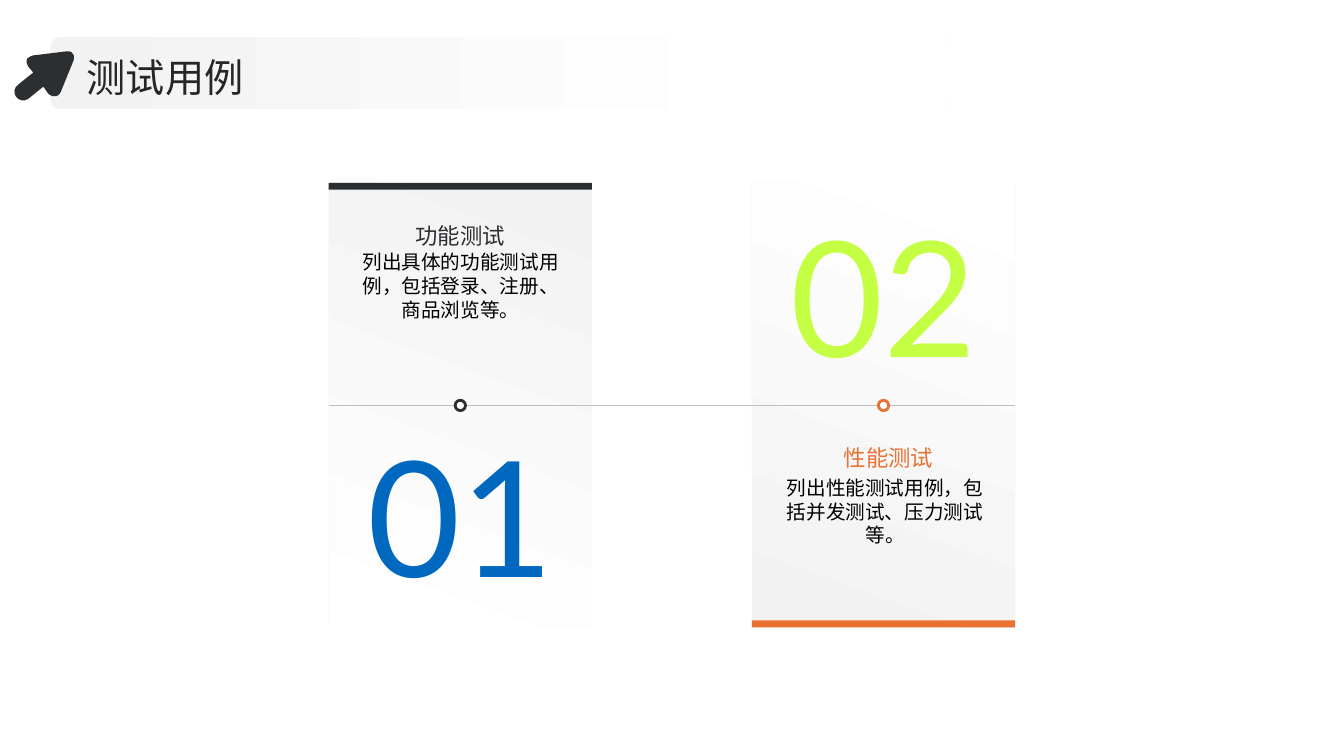
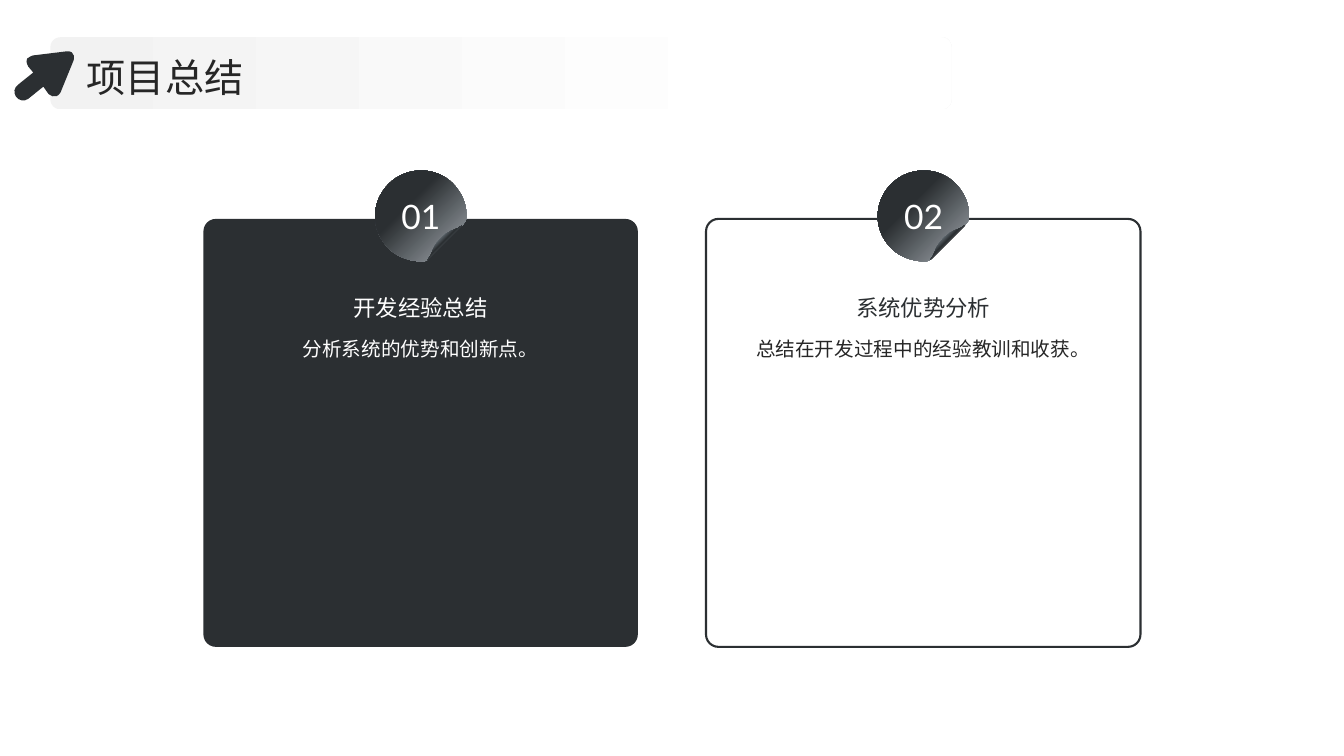
from dataclasses import dataclass
from typing import NamedTuple, Optional, Union

import pptx
import pptx.dml.color
import pptx.enum.shapes
import pptx.enum.text
import pptx.oxml
import pptx.oxml.ns
import pptx.util

Pt = pptx.util.Pt
RGBColor = pptx.dml.color.RGBColor
Shape = pptx.enum.shapes.MSO_SHAPE
Anchor = pptx.enum.text.MSO_ANCHOR
Align = pptx.enum.text.PP_ALIGN
qn = pptx.oxml.ns.qn
DRAWING = pptx.oxml.ns.nsdecls("a")

CHARCOAL = RGBColor(0x2B, 0x2F, 0x32)
INK = RGBColor(0x26, 0x26, 0x26)
BLACK = RGBColor(0x00, 0x00, 0x00)
WHITE = RGBColor(0xFF, 0xFF, 0xFF)
PALE = RGBColor(0xF2, 0xF2, 0xF2)
RULE_GREY = RGBColor(0xBF, 0xBF, 0xBF)
SILVER = RGBColor(0xA5, 0xAC, 0xB2)
STEEL = RGBColor(0x78, 0x83, 0x8B)
ORANGE = RGBColor(0xE9, 0x71, 0x32)
BLUE = RGBColor(0x00, 0x68, 0xBF)
LIME = RGBColor(0xC5, 0xFF, 0x44)

CHINESE_FONT = "Noto Sans CJK SC"
NUMBER_FONT = "Lato"


class Box(NamedTuple):
    """A rectangle in points."""
    left: float
    top: float
    width: float
    height: float

    def lengths(self) -> list:
        return [Pt(value) for value in self]


class Gradient(NamedTuple):
    """Stops of (percent, colour); no angle means radial from the top left."""
    stops: tuple
    angle: Optional[int] = None


class Outline(NamedTuple):
    """A start point, then segments of one point (line) or three (curve)."""
    bounds: Box
    start: tuple
    segments: tuple


Fill = Union[RGBColor, Gradient, None]

PANEL_FILL = Gradient(((0, PALE), (100, WHITE)), 110)
BAND_FILL = Gradient(((0, PALE), (80, WHITE)), 0)
STICKER_FILL = Gradient(((36, CHARCOAL), (100, SILVER)))
FOLD_FILL = Gradient(((32, STEEL), (47, CHARCOAL), (63, STEEL)), 45)

ARROW = Outline(Box(10, 36.6, 43.2, 35.3), (19.4, 41.8), (
    ((18.7, 43.2), (18.7, 44.6), (20.2, 47.5)),
    ((23.8, 51.8),),
    ((13, 60.5),),
    ((10.1, 62.6), (9.4, 66.2), (11.5, 69.1)),
    ((13.7, 72), (17.3, 72.7), (20.2, 70.6)),
    ((31, 61.9),),
    ((34.6, 67),),
    ((34.6, 67), (39.6, 72), (43.2, 66.2)),
    ((52.6, 43.2),),
    ((52.6, 43.2), (54.7, 36), (47.5, 36.7)),
    ((23.8, 39.6),),
    ((23.8, 39.6), (20.9, 40.3), (19.4, 41.8)),
))
STICKER = Outline(Box(0, 0, 64.8, 64.8), (38.2, 62.6), (
    ((62.6, 38.2),),
    ((64.1, 36.7), (64.8, 35.3), (64.8, 33.8)),
    ((65.5, 24.5), (61.9, 15.8), (54.7, 8.6)),
    ((41.8, -3.6), (21.6, -2.9), (9.4, 9.4)),
    ((-3.6, 22.3), (-3.6, 42.5), (9.4, 55.4)),
    ((15.8, 61.9), (25.2, 64.8), (33.8, 64.8)),
    ((35.3, 64.8), (37.4, 64.1), (38.2, 62.6)),
))
FOLD = Outline(Box(37.4, 38.9, 24.5, 24.5), (46.8, 48.2), (
    ((39.6, 55.4), (41, 59.8), (37.4, 63.4)),
    ((61.9, 38.9),),
    ((58.3, 42.5), (54, 41), (46.8, 48.2)),
))


def paint(shape, fill: Fill, line: Optional[RGBColor] = None, width: float = 0) -> None:
    shape.shadow.inherit = False
    if isinstance(fill, RGBColor):
        shape.fill.solid()
        shape.fill.fore_color.rgb = fill
    else:
        shape.fill.background()
    if isinstance(fill, Gradient):
        properties = shape._element.spPr
        properties.replace(properties.find(qn("a:noFill")), gradient_element(fill))
    if line is None:
        shape.line.fill.background()
    else:
        shape.line.color.rgb = line
        shape.line.width = Pt(width)


def gradient_element(gradient: Gradient):
    stops = "".join(
        f'<a:gs pos="{percent * 1000}"><a:srgbClr val="{color}"/></a:gs>'
        for percent, color in gradient.stops
    )
    if gradient.angle is None:
        course = '<a:path path="circle"><a:fillToRect r="100000" b="100000"/></a:path>'
    else:
        course = f'<a:lin ang="{gradient.angle * 60000}" scaled="0"/>'
    return pptx.oxml.parse_xml(
        f'<a:gradFill {DRAWING} rotWithShape="1">'
        f"<a:gsLst>{stops}</a:gsLst>{course}</a:gradFill>"
    )


def add_preset(page, kind, box: Box, fill: Fill, line: Optional[RGBColor] = None,
               width: float = 0, corner: Optional[float] = None):
    shape = page.shapes.add_shape(kind, *box.lengths())
    if corner is not None:
        shape.adjustments[0] = corner
    paint(shape, fill, line, width)
    return shape


def add_outline(page, outline: Outline, fill: Fill, left: float = 0, top: float = 0) -> None:
    """Draw a closed outline; its lines become Bézier curves where three points are given."""
    bounds = outline.bounds
    builder = page.shapes.build_freeform(*map(Pt, outline.start), scale=1.0)
    builder.add_line_segments(
        [tuple(map(Pt, segment[-1])) for segment in outline.segments], close=True)
    shape = builder.convert_to_shape()
    shape.left, shape.top, shape.width, shape.height = bounds._replace(
        left=left + bounds.left, top=top + bounds.top).lengths()
    trace = next(shape._element.iter(qn("a:path")))
    trace.set("w", str(Pt(bounds.width)))
    trace.set("h", str(Pt(bounds.height)))
    for command, segment in zip(list(trace), ((outline.start,), *outline.segments)):
        tag = command.tag.split("}")[1] if len(segment) == 1 else "cubicBezTo"
        points = "".join(
            f'<a:pt x="{Pt(x - bounds.left)}" y="{Pt(y - bounds.top)}"/>' for x, y in segment)
        trace.replace(command, pptx.oxml.parse_xml(f"<a:{tag} {DRAWING}>{points}</a:{tag}>"))
    paint(shape, fill)


def write(shape, text: str, size: float, color: RGBColor, font: str = CHINESE_FONT,
          anchor=Anchor.TOP, align=Align.CENTER, inset: bool = False) -> None:
    frame = shape.text_frame
    frame.text = text
    frame.word_wrap = True
    frame.auto_size = pptx.enum.text.MSO_AUTO_SIZE.NONE
    frame.vertical_anchor = anchor
    if not inset:
        frame.margin_left = frame.margin_right = frame.margin_top = frame.margin_bottom = 0
    para = frame.paragraphs[0]
    para.alignment = align
    span = para.runs[0]
    span.font.size = Pt(size)
    span.font.color.rgb = color
    span.font.name = font
    east_asian = pptx.oxml.parse_xml(f'<a:ea {DRAWING} typeface="{font}"/>')
    span.font._element.find(qn("a:latin")).addnext(east_asian)


def add_text(page, box: Box, text: str, size: float, color: RGBColor, **style) -> None:
    write(page.shapes.add_textbox(*box.lengths()), text, size, color, **style)


def add_page(deck, title: str):
    """Add a slide with the shared band, arrow and title."""
    page = deck.slides.add_slide(deck.slide_layouts[5])
    add_preset(page, Shape.ROUNDED_RECTANGLE, Box(36, 26.6, 643.7, 51.5), BAND_FILL,
               corner=0.139)
    heading = page.shapes.title
    heading.left, heading.top, heading.width, heading.height = Box(
        62, 36.7, 840, 36.7).lengths()
    write(heading, title, 28, INK, anchor=Anchor.MIDDLE, align=Align.LEFT)
    page.shapes._spTree.append(heading._element)
    add_outline(page, ARROW, CHARCOAL)
    return page


@dataclass
class TestPanel:
    left: float
    accent: RGBColor
    flipped: bool
    heading: str
    heading_box: Box
    body: str
    body_box: Box
    number: str
    number_box: Box
    number_color: RGBColor


PANEL_TOP, PANEL_WIDTH, PANEL_HEIGHT = 130.6, 188, 317.6
AXIS, BAR, DOT = 289.6, 5, 7.4
TEST_PANELS = (
    TestPanel(234.8, CHARCOAL, False,
              "功能测试", Box(252.5, 156, 152.6, 21.6),
              "列出具体的功能测试用例，包括登录、注册、商品浏览等。", Box(252.4, 178.8, 153.4, 87),
              "01", Box(257.8, 297.5, 142.6, 139.7), BLUE),
    TestPanel(537.1, ORANGE, True,
              "性能测试", Box(556.6, 314.6, 156.2, 21.6),
              "列出性能测试用例，包括并发测试、压力测试等。", Box(556.2, 340, 152, 87),
              "02", Box(548.6, 140.4, 164.9, 139.7), LIME),
)


def add_test_panel(page, panel: TestPanel) -> None:
    background = add_preset(
        page, Shape.RECTANGLE, Box(panel.left, PANEL_TOP, PANEL_WIDTH, PANEL_HEIGHT),
        PANEL_FILL)
    background.rotation = 180 if panel.flipped else 0
    bar_top = PANEL_TOP + (PANEL_HEIGHT - BAR if panel.flipped else 0)
    add_preset(page, Shape.RECTANGLE, Box(panel.left, bar_top, PANEL_WIDTH, BAR), panel.accent)
    add_text(page, panel.heading_box, panel.heading, 16, panel.accent, anchor=Anchor.BOTTOM)
    add_text(page, panel.body_box, panel.body, 14, BLACK)
    add_text(page, panel.number_box, panel.number, 115, panel.number_color, font=NUMBER_FONT)


def add_test_cases(deck) -> None:
    page = add_page(deck, "测试用例")
    for panel in TEST_PANELS:
        add_test_panel(page, panel)
    axis = page.shapes.add_connector(
        pptx.enum.shapes.MSO_CONNECTOR.STRAIGHT, Pt(TEST_PANELS[0].left), Pt(AXIS),
        Pt(TEST_PANELS[-1].left + PANEL_WIDTH), Pt(AXIS))
    axis.line.color.rgb = RULE_GREY
    axis.line.width = Pt(1)
    axis._element.spPr.append(pptx.oxml.parse_xml(f"<a:effectLst {DRAWING}/>"))
    for panel in TEST_PANELS:
        dot_left = panel.left + (PANEL_WIDTH - DOT) / 2
        add_preset(page, Shape.OVAL, Box(dot_left, AXIS - DOT / 2, DOT, DOT), WHITE,
                   panel.accent, 2)


@dataclass
class SummaryCard:
    number: str
    heading: str
    body: str
    fill: Fill
    line: Optional[RGBColor]
    heading_color: RGBColor
    body_color: RGBColor


SUMMARY_CARDS = (
    SummaryCard("01", "开发经验总结", "分析系统的优势和创新点。", CHARCOAL, None, WHITE, WHITE),
    SummaryCard("02", "系统优势分析", "总结在开发过程中的经验教训和收获。", None, CHARCOAL,
                CHARCOAL, INK),
)
CARD_LEFT, CARD_PITCH, CARD_WIDTH = 145.3, 359, 310.3
STICKER_LEFT, STICKER_TOP, STICKER_SIZE = 123, 122, 64.8


def add_summary_card(page, card: SummaryCard, left: float) -> None:
    add_preset(page, Shape.ROUNDED_RECTANGLE, Box(left, 156.4, CARD_WIDTH, 305.7),
               card.fill, card.line, 1.5, corner=0.029)
    add_text(page, Box(left + 14, 236.9, 282.2, 213), card.body, 14, card.body_color,
             inset=True)
    add_text(page, Box(left + 14, 192.2, 282.2, 54.7), card.heading, 16, card.heading_color,
             anchor=Anchor.MIDDLE, inset=True)
    sticker_left = left + STICKER_LEFT
    add_outline(page, STICKER, STICKER_FILL, sticker_left, STICKER_TOP)
    add_outline(page, FOLD, FOLD_FILL, sticker_left, STICKER_TOP)
    add_text(page, Box(sticker_left, 136.4, STICKER_SIZE, 36), card.number, 24, WHITE,
             font=NUMBER_FONT, inset=True)


def add_summary(deck) -> None:
    page = add_page(deck, "项目总结")
    for index, card in enumerate(SUMMARY_CARDS):
        add_summary_card(page, card, CARD_LEFT + index * CARD_PITCH)


def main() -> None:
    deck = pptx.Presentation()
    deck.slide_width, deck.slide_height = Pt(960), Pt(540)
    add_test_cases(deck)
    add_summary(deck)
    deck.save("out.pptx")


if __name__ == "__main__":
    main()
